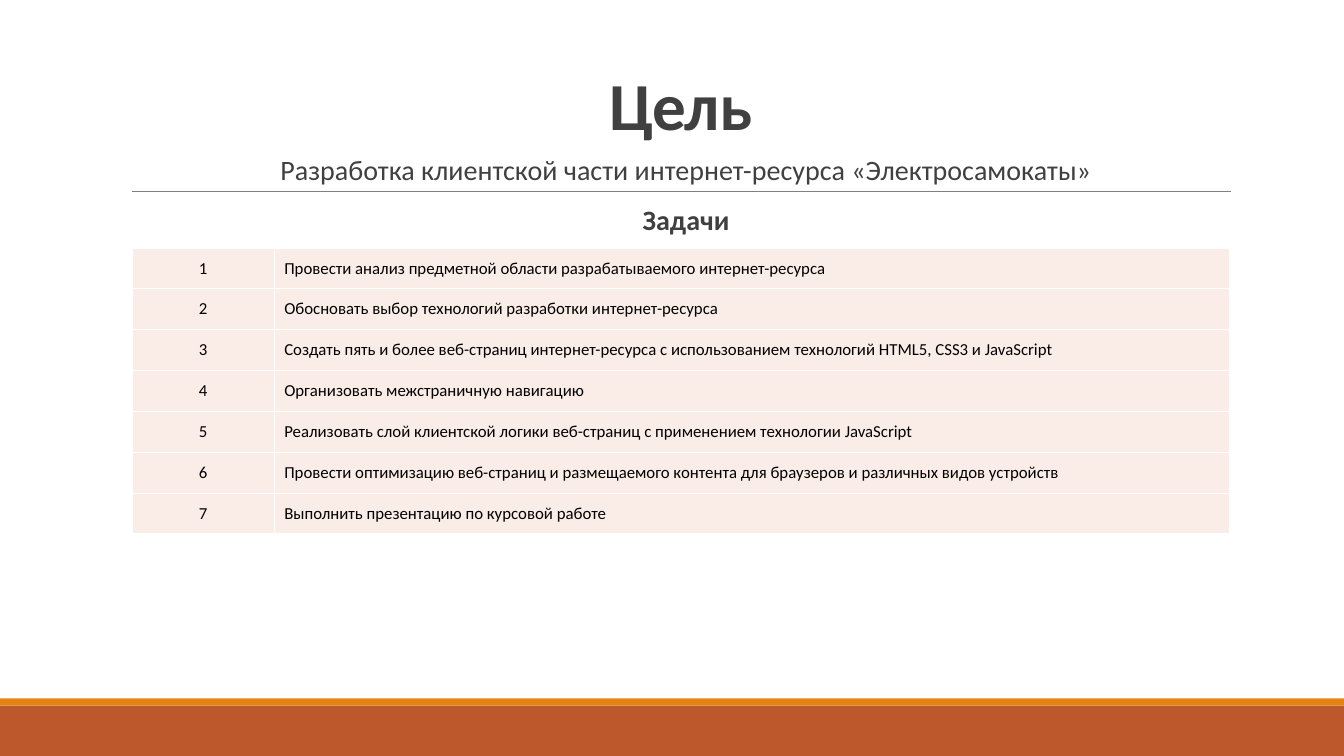
"""Build a slide with the goal and the numbered tasks of a course project."""
from lxml.etree import SubElement
from pptx import Presentation
from pptx.dml.color import RGBColor
from pptx.enum.shapes import MSO_CONNECTOR, MSO_SHAPE
from pptx.enum.text import MSO_ANCHOR, PP_ALIGN
from pptx.oxml.ns import qn
from pptx.util import Inches, Pt

FONT = "Calibri"
RUST = RGBColor(0xBD, 0x58, 0x2C)
ORANGE = RGBColor(0xE4, 0x83, 0x12)
GRAY = RGBColor(0x80, 0x80, 0x80)
DARK = RGBColor(0x40, 0x40, 0x40)
BLACK = RGBColor(0, 0, 0)
WHITE = RGBColor(0xFF, 0xFF, 0xFF)
BLUSH = RGBColor(0xFA, 0xED, 0xE7)

SLIDE_WIDTH = 13.33
LEFT = 1.31
WIDTH = 10.89
COLUMN_WIDTHS = (1.41, 9.48)
TABLE_HEIGHT = 2.84

TASKS = (
    "Провести анализ предметной области разрабатываемого интернет-ресурса",
    "Обосновать выбор технологий разработки интернет-ресурса",
    "Создать пять и более веб-страниц интернет-ресурса с использованием технологий HTML5, CSS3 и JavaScript",
    "Организовать межстраничную навигацию",
    "Реализовать слой клиентской логики веб-страниц с применением технологии JavaScript",
    "Провести оптимизацию веб-страниц и размещаемого контента для браузеров и различных видов устройств",
    "Выполнить презентацию по курсовой работе",
)


def format_paragraph(paragraph, size, color, bold=False, align=PP_ALIGN.CENTER):
    """Set the alignment and the font of a paragraph's runs."""
    paragraph.alignment = align
    for run in paragraph.runs:
        run.font.name = FONT
        run.font.size = Pt(size)
        run.font.bold = bold
        run.font.color.rgb = color


def add_band(slide, top, height, color):
    """Add a footer band across the whole slide."""
    band = slide.shapes.add_shape(
        MSO_SHAPE.RECTANGLE, 0, Inches(top), Inches(SLIDE_WIDTH), Inches(height))
    band.shadow.inherit = False
    band.fill.solid()
    band.fill.fore_color.rgb = color
    band.line.fill.background()


def add_rule(slide, top):
    """Add the thin horizontal line under the goal."""
    rule = slide.shapes.add_connector(
        MSO_CONNECTOR.STRAIGHT, Inches(LEFT), Inches(top),
        Inches(LEFT + WIDTH + 0.01), Inches(top))
    rule.line.color.rgb = GRAY
    rule.line.width = Pt(0.5)
    SubElement(rule._element.spPr, qn("a:effectLst"))


def add_text_box(slide, top, height, text):
    """Add a wrapping text box in the content column and return its frame."""
    box = slide.shapes.add_textbox(
        Inches(LEFT), Inches(top), Inches(WIDTH), Inches(height))
    frame = box.text_frame
    frame.word_wrap = True
    frame.text = text
    return frame


def add_title(slide, text):
    """Add the large slide heading."""
    frame = add_text_box(slide, 0.68, 0.83, text)
    frame.vertical_anchor = MSO_ANCHOR.MIDDLE
    paragraph = frame.paragraphs[0]
    paragraph.line_spacing = 0.85
    format_paragraph(paragraph, 48, DARK, bold=True)
    for run in paragraph.runs:
        run.font._element.set("spc", "-50")


def add_goal(slide, goal, heading):
    """Add the goal and the heading of the task table."""
    frame = add_text_box(slide, 1.5, 0.92, f"{goal}\n{heading}")
    frame.margin_left = frame.margin_right = 0
    for index, paragraph in enumerate(frame.paragraphs):
        paragraph._p.get_or_add_pPr().set("marL", str(Inches(0.1)))
        paragraph.line_spacing = 0.9
        paragraph.space_before = Pt(12 * index)
        paragraph.space_after = Pt(2)
        format_paragraph(paragraph, 20, DARK, bold=index == 1)


def add_borders(cell):
    """Draw thin white lines on all sides of a cell."""
    properties = cell._tc.get_or_add_tcPr()
    for index, side in enumerate(("a:lnL", "a:lnR", "a:lnT", "a:lnB")):
        line = properties.makeelement(qn(side), {"w": str(Pt(1))})
        fill = SubElement(line, qn("a:solidFill"))
        SubElement(fill, qn("a:srgbClr"), val=str(WHITE))
        properties.insert(index, line)


def fill_cell(cell, text, align):
    """Write and style one table cell."""
    cell.text_frame.text = text
    cell.vertical_anchor = MSO_ANCHOR.MIDDLE
    cell.fill.solid()
    cell.fill.fore_color.rgb = BLUSH
    format_paragraph(cell.text_frame.paragraphs[0], 12, BLACK, align=align)
    add_borders(cell)


def add_task_table(slide, tasks):
    """Add the table of numbered tasks."""
    table = slide.shapes.add_table(
        len(tasks), len(COLUMN_WIDTHS), Inches(LEFT), Inches(2.46),
        Inches(WIDTH), Inches(TABLE_HEIGHT)).table
    table.first_row = table.horz_banding = False
    for column, width in zip(table.columns, COLUMN_WIDTHS):
        column.width = Inches(width)
    for row, task in enumerate(tasks):
        fill_cell(table.cell(row, 0), str(row + 1), PP_ALIGN.CENTER)
        task_cell = table.cell(row, 1)
        fill_cell(task_cell, task, PP_ALIGN.LEFT)
        task_cell.margin_top = task_cell.margin_bottom = 0


def main():
    """Build and save the presentation."""
    presentation = Presentation()
    presentation.slide_width = Inches(SLIDE_WIDTH)
    presentation.slide_height = Inches(7.5)
    slide = presentation.slides.add_slide(presentation.slide_layouts[6])
    add_band(slide, 7, 0.5, RUST)
    add_band(slide, 6.93, 0.07, ORANGE)
    add_rule(slide, 1.9)
    add_title(slide, "Цель")
    add_goal(slide, "Разработка клиентской части интернет-ресурса «Электросамокаты»", "Задачи")
    add_task_table(slide, TASKS)
    presentation.save("out.pptx")


if __name__ == "__main__":
    main()
